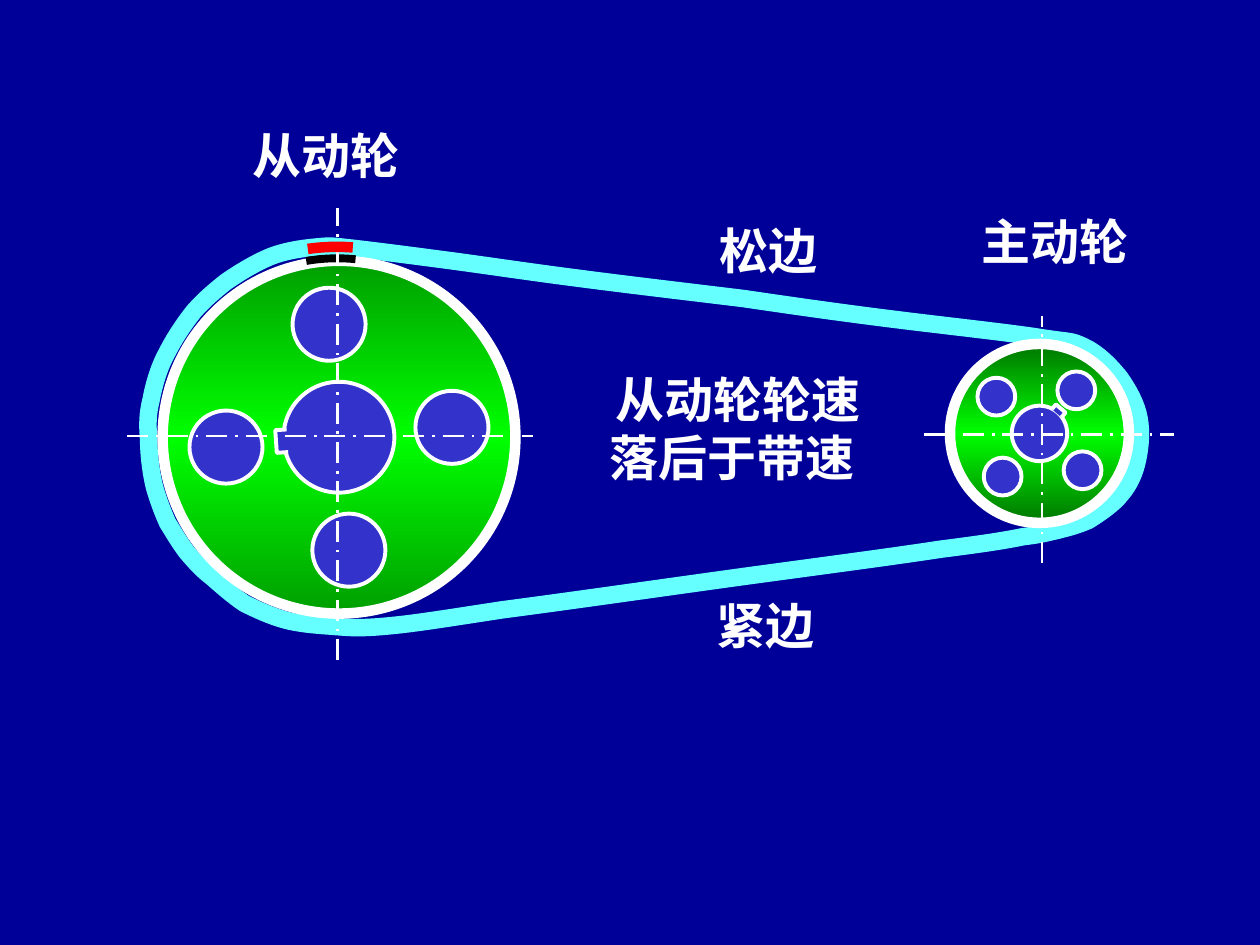
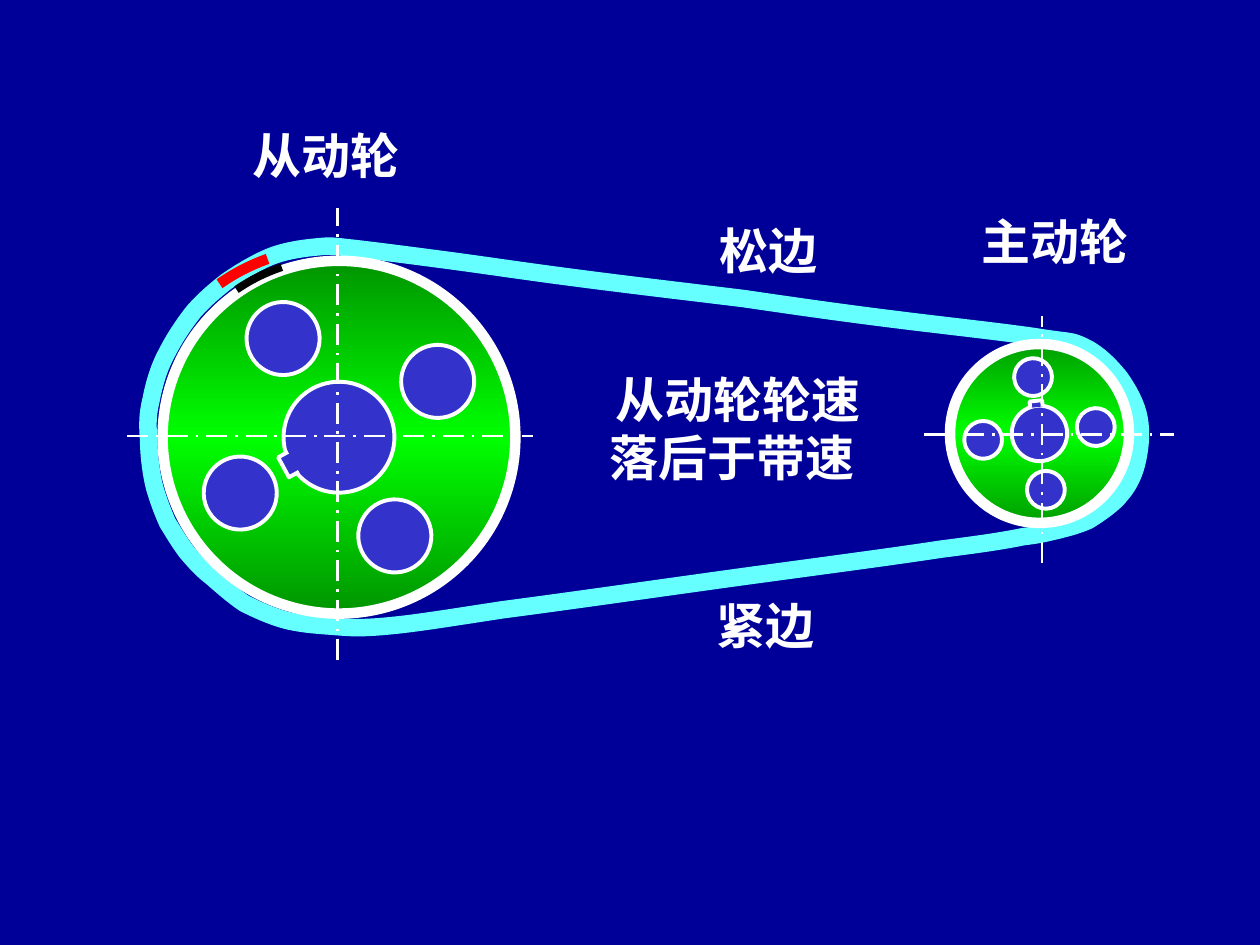
from math import cos, radians, sin

from lxml import etree
from pptx import Presentation
from pptx.dml.color import RGBColor
from pptx.enum.dml import MSO_LINE
from pptx.enum.shapes import MSO_CONNECTOR, MSO_SHAPE
from pptx.enum.text import MSO_AUTO_SIZE, PP_ALIGN
from pptx.oxml import parse_xml
from pptx.oxml.ns import nsdecls, qn
from pptx.util import Inches, Pt

OVAL, ARC = MSO_SHAPE.OVAL, MSO_SHAPE.ARC
STRAIGHT = MSO_CONNECTOR.STRAIGHT
LONG_DASH_DOT = MSO_LINE.LONG_DASH_DOT
CENTER = PP_ALIGN.CENTER
GROW = MSO_AUTO_SIZE.SHAPE_TO_FIT_TEXT

NAVY, WHITE, CYAN = "000099", "FFFFFF", "66FFFF"
HOLE, RED, BLACK = "3333CC", "FF0000", "000000"
RIM_STOPS = [(0, "007500"), (50, "00FF00"), (100, "007500")]

BELT_START = (8.26, 2.68)
BELT_CURVES = [
    ((8.01, 2.64), (7.45, 2.58), (7.06, 2.53)), ((6.66, 2.48), (6.31, 2.43), (5.9, 2.37)),
    ((5.49, 2.32), (4.98, 2.26), (4.6, 2.21)), ((4.21, 2.16), (3.88, 2.11), (3.58, 2.07)),
    ((3.28, 2.03), (2.97, 1.99), (2.79, 1.97)), ((2.61, 1.95), (2.63, 1.95), (2.52, 1.96)),
    ((2.41, 1.97), (2.26, 1.99), (2.14, 2.04)), ((2.02, 2.09), (1.89, 2.17), (1.79, 2.24)),
    ((1.69, 2.32), (1.62, 2.38), (1.54, 2.47)), ((1.46, 2.57), (1.38, 2.69), (1.32, 2.81)),
    ((1.26, 2.92), (1.22, 3.06), (1.2, 3.17)), ((1.17, 3.29), (1.17, 3.37), (1.18, 3.49)),
    ((1.18, 3.61), (1.2, 3.77), (1.23, 3.88)), ((1.26, 3.98), (1.29, 4.06), (1.33, 4.15)),
    ((1.38, 4.23), (1.42, 4.3), (1.48, 4.38)), ((1.54, 4.45), (1.6, 4.52), (1.68, 4.58)),
    ((1.76, 4.65), (1.85, 4.73), (1.94, 4.79)), ((2.04, 4.84), (2.15, 4.89), (2.26, 4.92)),
    ((2.37, 4.95), (2.49, 4.96), (2.63, 4.97)), ((2.76, 4.98), (2.84, 4.99), (3.06, 4.97)),
    ((3.29, 4.95), (3.53, 4.91), (3.99, 4.84)), ((4.45, 4.78), (5.22, 4.67), (5.8, 4.59)),
    ((6.38, 4.51), (7.07, 4.42), (7.46, 4.36)), ((7.85, 4.31), (7.97, 4.29), (8.12, 4.26)),
    ((8.28, 4.24), (8.3, 4.23), (8.39, 4.21)), ((8.47, 4.19), (8.55, 4.17), (8.64, 4.13)),
    ((8.72, 4.08), (8.84, 4), (8.9, 3.92)), ((8.97, 3.84), (9.01, 3.74), (9.03, 3.64)),
    ((9.05, 3.54), (9.06, 3.43), (9.04, 3.32)), ((9.02, 3.21), (8.96, 3.1), (8.89, 3)),
    ((8.81, 2.9), (8.71, 2.8), (8.6, 2.75)), ((8.49, 2.7), (8.52, 2.72), (8.26, 2.68)),
]
DRIVEN = {"center": (2.69, 3.47), "rim": 1.4, "hub": 0.44, "hole": 0.29,
          "hole_orbit": 0.9, "key": (0.41, 0.5, 0.09), "key_offset": 181,
          "rotation_offset": 139.8}
DRIVER = {"center": (8.25, 3.44), "rim": 0.71, "hub": 0.22, "hole": 0.15,
          "hole_orbit": 0.45, "key": (0.21, 0.26, 0.05), "key_offset": -90,
          "rotation_offset": 229.3}
WHEEL_MARK_BOX = (1.27, 2.05, 2.81, 2.81)
BELT_MARK_BOX = (1.09, 1.96, 3.17, 3.06)
CENTER_LINES = [((1.01, 3.46), (4.23, 3.46)), ((2.68, 5.24), (2.68, 1.65)),
                ((7.33, 3.45), (9.32, 3.45)), ((8.27, 4.47), (8.27, 2.51))]
WHEEL_LABELS = [("主动轮 ", 7.55, 1.63, 1.74, 0.57), ("从动轮 ", 1.76, 0.95, 1.74, 0.57)]
BELT_LABELS = [("从动轮轮速落后于带速 ", 4.67, 2.88, 2.37, 1.04),
               ("松边 ", 5.55, 1.7, 1.18, 0.57), ("紧边 ", 5.53, 4.68, 1.18, 0.57)]
STATES = [
    {"driven_turn": -5, "driver_turn": 40.5,
     "wheel_mark": (260, 276), "belt_mark": (261.3, 274.7)},
    {"driven_turn": -29.5, "driver_turn": -6.5,
     "wheel_mark": (235.4, 251.8), "belt_mark": (233, 249)},
]


def color(value):
    return RGBColor.from_string(value)


def inches(values):
    return [Inches(value) for value in values]


def polar(center, radius, angle):
    x, y = center
    return x + radius * cos(radians(angle)), y + radius * sin(radians(angle))


class BeltDrawing:
    """Draws the belt drive on the current slide in one shared style."""

    def __init__(self, presentation):
        self.presentation = presentation
        self.slide = None
        self.font = {"name": "Times New Roman", "size": Pt(28), "bold": True}
        self.frame = {"word_wrap": True, "auto_size": GROW,
                      "margin_left": Inches(0.1), "margin_right": Inches(0.1),
                      "margin_top": Inches(0.05), "margin_bottom": Inches(0.05)}

    def apply(self, target, values):
        for name, value in values.items():
            setattr(target, name, value)

    def new_slide(self):
        self.slide = self.presentation.slides.add_slide(self.presentation.slide_layouts[6])
        self.slide.background.fill.solid()
        self.slide.background.fill.fore_color.rgb = color(NAVY)

    def style(self, shape, fill, line, width):
        shape.shadow.inherit = False
        if fill:
            shape.fill.solid()
            shape.fill.fore_color.rgb = color(fill)
        else:
            shape.fill.background()
        shape.line.color.rgb = color(line)
        shape.line.width = Pt(width)

    def circle(self, shapes, center, radius, rotation, width=2.25):
        x, y = center
        box = inches((x - radius, y - radius, 2 * radius, 2 * radius))
        shape = shapes.add_shape(OVAL, *box)
        shape.rotation = rotation
        self.style(shape, HOLE, WHITE, width)
        return shape

    def gradient(self, shape):
        stops = "".join(f'<a:gs pos="{position * 1000}"><a:srgbClr val="{value}"/></a:gs>'
                        for position, value in RIM_STOPS)
        fill = parse_xml(f'<a:gradFill {nsdecls("a")} rotWithShape="0"><a:gsLst>{stops}'
                         '</a:gsLst><a:lin ang="5400000" scaled="0"/></a:gradFill>')
        properties = shape._element.spPr
        properties.replace(properties.find(qn("a:solidFill")), fill)

    def outline(self, shapes, points, line, width, fill=None, close=False):
        corners = [inches(point) for point in points]
        builder = shapes.build_freeform(*corners[0])
        builder.add_line_segments(corners[1:], close=close)
        shape = builder.convert_to_shape()
        self.style(shape, fill, line, width)
        return shape

    def belt(self):
        points = [BELT_START] + [point for curve in BELT_CURVES for point in curve]
        shape = self.outline(self.slide.shapes, points, CYAN, 10, close=True)
        segments = list(shape._element.iter(qn("a:lnTo")))
        for index in range(0, len(BELT_CURVES) * 3, 3):
            curve = etree.Element(qn("a:cubicBezTo"))
            segments[index].addprevious(curve)
            for segment in segments[index:index + 3]:
                curve.append(segment[0])
                segment.getparent().remove(segment)

    def wheel(self, center, rim, hub, hole, hole_orbit, key, key_offset,
              rotation_offset, turn):
        shapes = self.slide.shapes.add_group_shape().shapes
        rotation = turn + rotation_offset
        self.gradient(self.circle(shapes, center, rim, rotation, 6))
        for quarter in range(4):
            hole_center = polar(center, hole_orbit, turn + 90 * quarter)
            self.circle(shapes, hole_center, hole, rotation)
        self.circle(shapes, center, hub, rotation)
        inner, outer, half_width = key
        direction = turn + key_offset
        corners = [polar(polar(center, radius, direction), side * half_width, direction + 90)
                   for radius, side in ((inner, -1), (outer, -1), (outer, 1), (inner, 1))]
        self.outline(shapes, corners, WHITE, 2.25, HOLE)

    def mark(self, box, angles, line, width):
        shape = self.slide.shapes.add_shape(ARC, *inches(box))
        for index, angle in enumerate(angles):
            shape.adjustments[index] = angle * 0.6
        self.style(shape, None, line, width)

    def center_line(self, start, end):
        line = self.slide.shapes.add_connector(STRAIGHT, *inches(start + end))
        line.line.color.rgb = color(WHITE)
        self.apply(line.line, {"width": Pt(1.5), "dash_style": LONG_DASH_DOT})
        etree.SubElement(line._element.spPr, qn("a:effectLst"))

    def label(self, text, *box):
        frame = self.slide.shapes.add_textbox(*inches(box)).text_frame
        self.apply(frame, self.frame)
        paragraph = frame.paragraphs[0]
        paragraph.alignment = CENTER
        run = paragraph.add_run()
        run.text = text
        self.apply(run.font, self.font)
        run.font.color.rgb = color(WHITE)

    def draw(self, driven_turn, driver_turn, wheel_mark, belt_mark):
        self.new_slide()
        self.belt()
        for label in WHEEL_LABELS:
            self.label(*label)
        self.wheel(**DRIVER, turn=driver_turn)
        self.wheel(**DRIVEN, turn=driven_turn)
        self.mark(WHEEL_MARK_BOX, wheel_mark, BLACK, 4.5)
        for start, end in CENTER_LINES:
            self.center_line(start, end)
        self.mark(BELT_MARK_BOX, belt_mark, RED, 6)
        for label in BELT_LABELS:
            self.label(*label)


def main():
    presentation = Presentation()
    presentation.slide_width = Inches(10)
    presentation.slide_height = Inches(7.5)
    drawing = BeltDrawing(presentation)
    for state in STATES:
        drawing.draw(**state)
    presentation.save("out.pptx")


if __name__ == "__main__":
    main()
